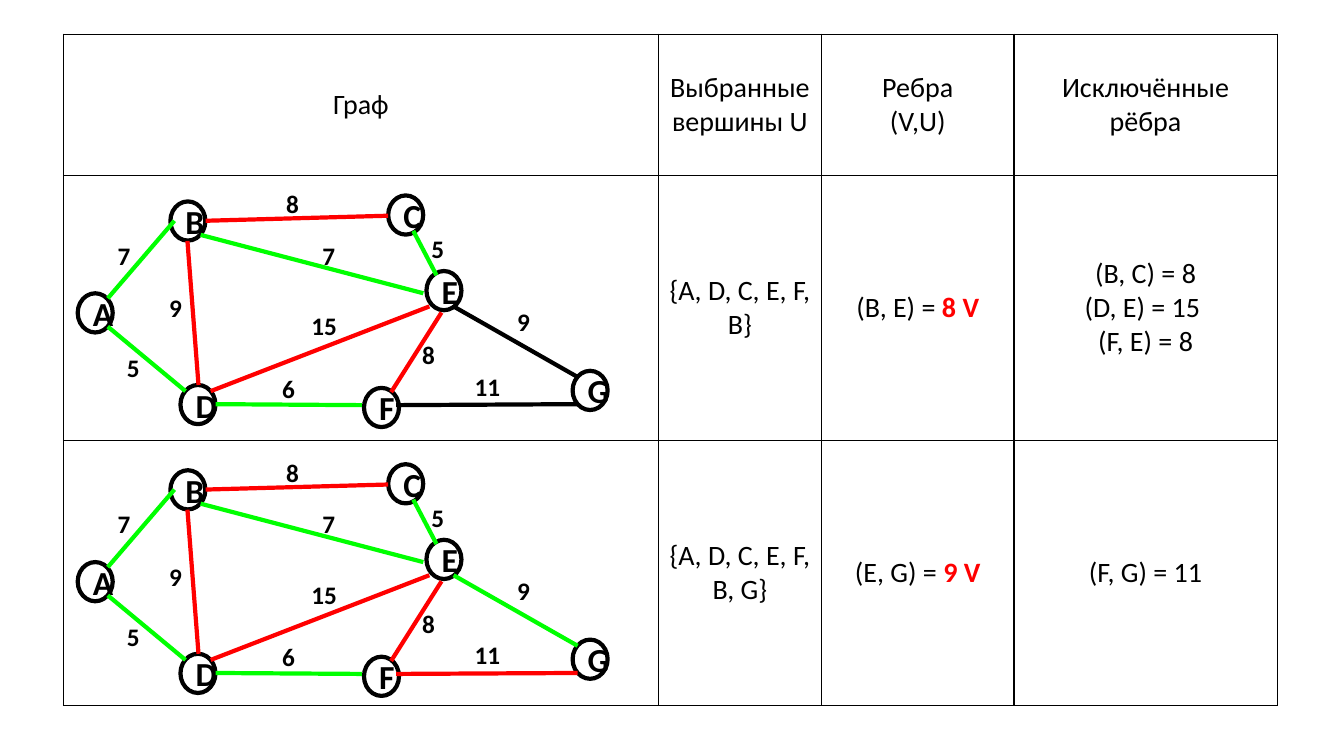
from lxml.etree import SubElement
from pptx import Presentation
from pptx.dml.color import RGBColor
from pptx.enum.shapes import MSO_CONNECTOR, MSO_SHAPE
from pptx.enum.text import MSO_ANCHOR, MSO_AUTO_SIZE, PP_ALIGN
from pptx.oxml.ns import qn
from pptx.util import Pt

BLACK = RGBColor(0, 0, 0)
WHITE = RGBColor(255, 255, 255)
RED = RGBColor(255, 0, 0)
GREEN = RGBColor(0, 255, 0)

# Table: each paragraph is plain text plus a red ending
COLS = [424.8, 116.6, 137.5, 188]
ROWS = [100.8, 189.4, 189.4]
CELLS = [
    [[("Граф", "")], [("Выбранные вершины U", "")],
     [("Ребра", ""), ("(V,U)", "")], [("Исключённые рёбра", "")]],
    [[], [("{A, D, C, E, F, B}", "")], [("(B, E) = ", "8 V")],
     [("(B, C) = 8", ""), ("(D, E) = 15 ", ""), ("(F, E) = 8", "")]],
    [[], [("{A, D, C, E, F, B, G}", "")], [("(E, G) = ", "9 V")],
     [("(F, G) = 11", "")]],
]

# Graph: vertex corners, then edges as ends, colour, weight, label place
NODES = {"A": (54, 211), "B": (120.2, 145.4), "C": (275.8, 141.1),
         "D": (127.4, 276.5), "E": (303.1, 195.1), "F": (258.5, 278.6),
         "G": (407.5, 266.4)}
EDGES = {
    "FG": ((412.6, 288.7, 283, 289.4), BLACK, "11", (331.9, 261.4, 38)),
    "BC": ((277.2, 154.1, 146.9, 157.7), RED, "8", (197.3, 131, 25)),
    "EF": ((279.4, 280.1, 315.4, 223.2), RED, "8", (294.5, 239, 38)),
    "BE": ((302.4, 209.5, 143.3, 167.8), GREEN, "7", (223.2, 167.8, 25)),
    "DE": ((150.5, 279.4, 306.7, 218.9), RED, "15", (215.3, 218.2, 38)),
    "DF": ((258.5, 289.4, 154.1, 288.7), GREEN, "6", (194.4, 262.8, 23)),
    "AD": ((132.5, 279.4, 77, 233.3), GREEN, "5", (83.5, 248.4, 25)),
    "AB": ((124.6, 157.7, 77, 213.1), GREEN, "7", (77, 167.8, 25)),
    "BD": ((133.9, 172.1, 141.8, 275), RED, "9", (113.8, 205.2, 25)),
    "EG": ((412.6, 269.3, 324, 218.9), BLACK, "9", (362.2, 215.3, 38)),
    "CE": ((311.8, 196.6, 295.2, 164.9), GREEN, "5", (301, 163.4, 25)),
}
# Each step shifts the graph down and recolours some edges
STEPS = [(0, {}), (192, {"EG": GREEN, "FG": RED})]


class Board:
    face = "Calibri"
    line = Pt(3)

    def __init__(self, slide):
        self.shapes = slide.shapes

    def style(self, run, size, color=BLACK, bold=False):
        run.font.name = self.face
        run.font.size = Pt(size)
        run.font.bold = bold
        run.font.color.rgb = color

    def border(self, cell):
        props = cell._tc.get_or_add_tcPr()
        for side in ("a:lnL", "a:lnR", "a:lnT", "a:lnB"):
            edge = SubElement(props, qn(side), w=str(Pt(1)))
            fill = SubElement(edge, qn("a:solidFill"))
            SubElement(fill, qn("a:srgbClr"), val=str(BLACK))

    def cell(self, cell, lines, inset):
        self.border(cell)
        cell.fill.solid()
        cell.fill.fore_color.rgb = WHITE
        cell.vertical_anchor = MSO_ANCHOR.MIDDLE
        if inset:
            cell.margin_left = cell.margin_right = Pt(inset)
            cell.margin_top = cell.margin_bottom = Pt(inset)
        frame = cell.text_frame
        frame.text = "\n".join(text for text, mark in lines)
        for para, (text, mark) in zip(frame.paragraphs, lines):
            para.alignment = PP_ALIGN.CENTER
            for run in para.runs:
                self.style(run, 20)
            if mark:
                run = para.add_run()
                run.text = mark
                self.style(run, 20, RED, True)

    def table(self, left, top):
        frame = self.shapes.add_table(len(ROWS), len(COLS), Pt(left), Pt(top),
                                      Pt(sum(COLS)), Pt(sum(ROWS)))
        grid = frame.table
        grid.first_row = grid.horz_banding = False
        for col, width in zip(grid.columns, COLS):
            col.width = Pt(width)
        for i, (row, height) in enumerate(zip(grid.rows, ROWS)):
            row.height = Pt(height)
            for cell, lines in zip(row.cells, CELLS[i]):
                self.cell(cell, lines, 3.6 if i else 0)

    def node(self, name, x, y):
        oval = self.shapes.add_shape(MSO_SHAPE.OVAL, Pt(x), Pt(y), Pt(28), Pt(25))
        oval.rotation = 90
        oval.shadow.inherit = False
        oval.fill.background()
        oval.line.color.rgb = BLACK
        oval.line.width = self.line
        frame = oval.text_frame
        # Turn the text back upright
        frame._txBody.bodyPr.set("vert", "vert270")
        frame.text = name
        para = frame.paragraphs[0]
        para.alignment = PP_ALIGN.CENTER
        self.style(para.runs[0], 24, bold=True)

    def edge(self, ends, color, drop):
        x1, y1, x2, y2 = ends
        link = self.shapes.add_connector(MSO_CONNECTOR.STRAIGHT, Pt(x1), Pt(y1 + drop),
                                         Pt(x2), Pt(y2 + drop))
        link.line.color.rgb = color
        link.line.width = self.line
        SubElement(link._element.spPr, qn("a:effectLst"))

    def label(self, text, x, y, width):
        box = self.shapes.add_textbox(Pt(x), Pt(y), Pt(width), Pt(29))
        frame = box.text_frame
        frame.word_wrap = True
        frame.auto_size = MSO_AUTO_SIZE.SHAPE_TO_FIT_TEXT
        frame.text = text
        self.style(frame.paragraphs[0].runs[0], 18, bold=True)

    def graph(self, drop, news):
        for name, (x, y) in NODES.items():
            self.node(name, x, y + drop)
        for name, (ends, color, weight, (x, y, width)) in EDGES.items():
            self.edge(ends, news.get(name, color), drop)
            self.label(weight, x, y + drop, width)


def main():
    deck = Presentation()
    deck.slide_width, deck.slide_height = Pt(960), Pt(540)
    board = Board(deck.slides.add_slide(deck.slide_layouts[6]))
    board.table(45.4, 24.5)
    for drop, news in STEPS:
        board.graph(drop, news)
    deck.save("out.pptx")


if __name__ == "__main__":
    main()
